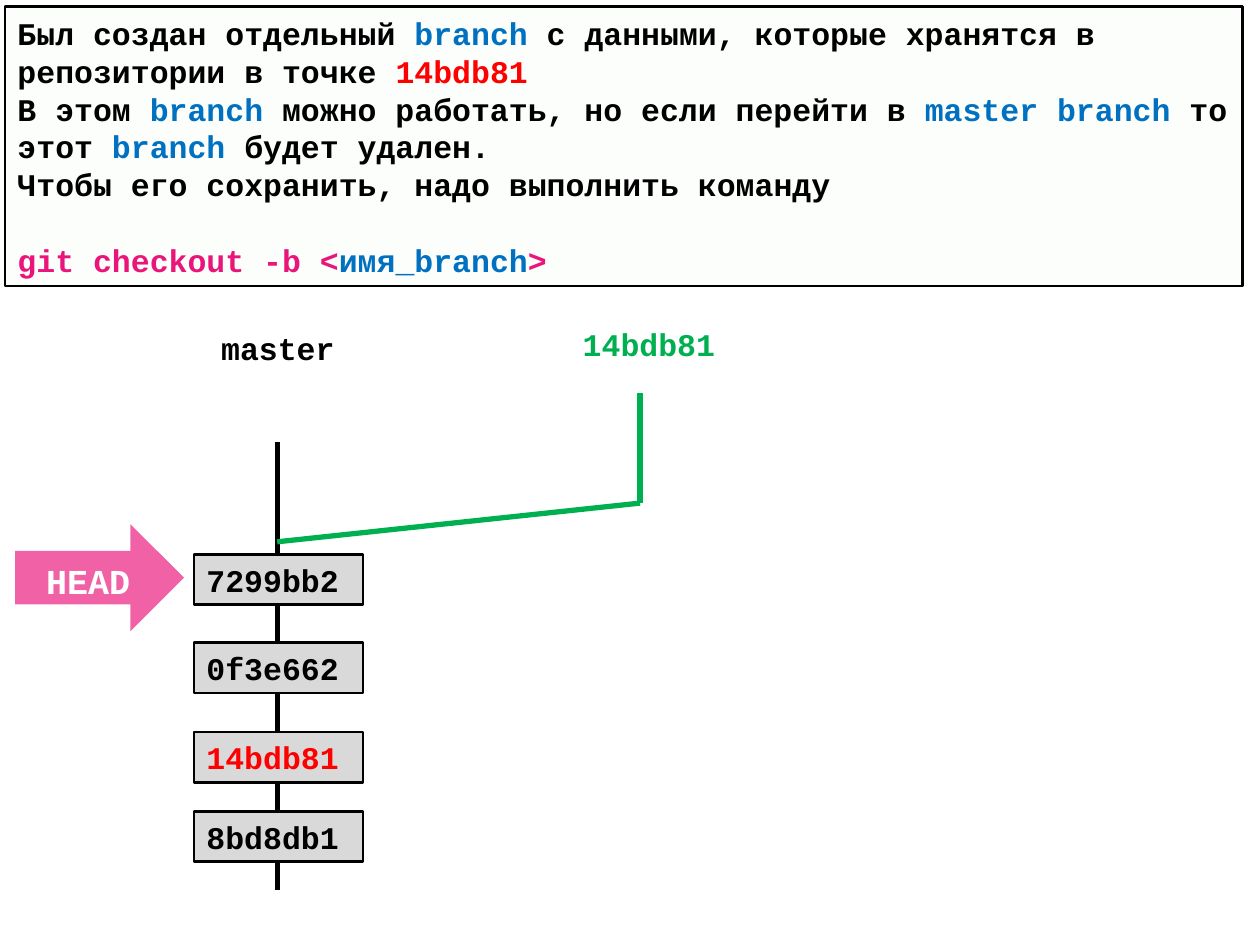
from lxml import etree
from pptx import Presentation
from pptx.dml.color import RGBColor
from pptx.enum.shapes import MSO_CONNECTOR, MSO_SHAPE
from pptx.enum.text import MSO_ANCHOR, PP_ALIGN
from pptx.oxml.ns import qn
from pptx.util import Inches, Pt

BLACK = RGBColor(0x00, 0x00, 0x00)
WHITE = RGBColor(0xFF, 0xFF, 0xFF)
GRAY = RGBColor(0xD9, 0xD9, 0xD9)
RED = RGBColor(0xFF, 0x00, 0x00)
BLUE = RGBColor(0x00, 0x70, 0xC0)
GREEN = RGBColor(0x00, 0xB0, 0x50)
PINK = RGBColor(0xEA, 0x15, 0x7A)
PALE = RGBColor(0xE5, 0xF6, 0xD8)
RECTANGLE, ARROW = MSO_SHAPE.RECTANGLE, MSO_SHAPE.RIGHT_ARROW
STRAIGHT = MSO_CONNECTOR.STRAIGHT
LEFT, CENTER = PP_ALIGN.LEFT, PP_ALIGN.CENTER
MIDDLE = MSO_ANCHOR.MIDDLE
WIDTH, HEIGHT = Inches(10), Inches(7.5)
COLUMN, ROW = WIDTH / 100, HEIGHT / 75
FONT = {"name": "Courier New", "size": Pt(18), "bold": True}

EXPLANATION = [
    [("Был создан отдельный ", BLACK), ("branch", BLUE),
     (" с данными, которые хранятся в репозитории в точке ", BLACK),
     ("14bdb81", RED)],
    [("В этом ", BLACK), ("branch ", BLUE),
     ("можно работать, но если перейти в ", BLACK),
     ("master branch ", BLUE), ("то этот ", BLACK), ("branch ", BLUE),
     ("будет удален.", BLACK)],
    [("Чтобы его сохранить, надо выполнить команду", BLACK)],
    [("git checkout -b <", PINK), ("имя_branch", BLUE), (">", PINK)],
]
COMMITS = [("7299bb2", BLACK, 44), ("0f3e662", BLACK, 51),
           ("14bdb81", RED, 58.1), ("8bd8db1", BLACK, 64.4)]


def grid(*cells):
    """Turn alternating columns and rows into slide lengths."""
    return [round(cell * (ROW if i % 2 else COLUMN))
            for i, cell in enumerate(cells)]


def write(frame, paragraphs, align=LEFT, **changes):
    """Fill a text frame with paragraphs of coloured pieces."""
    frame.vertical_anchor = MIDDLE
    for index, pieces in enumerate(paragraphs):
        paragraph = frame.paragraphs[0] if index == 0 else frame.add_paragraph()
        paragraph.alignment = align
        for words, color in pieces:
            run = paragraph.add_run()
            run.text = words
            run.font.color.rgb = color
            for key, value in {**FONT, **changes}.items():
                setattr(run.font, key, value)


def add_block(slide, preset, box, fill, outline=None, opacity=100):
    """Draw a filled preset shape in a grid box."""
    block = slide.shapes.add_shape(preset, *grid(*box))
    block.shadow.inherit = False
    block.fill.solid()
    block.fill.fore_color.rgb = fill
    if opacity < 100:
        tint = block.fill._xPr.find(qn("a:solidFill"))[0]
        etree.SubElement(tint, qn("a:alpha"), val=str(opacity * 1000))
    if outline is None:
        block.line.fill.background()
    else:
        block.line.color.rgb = outline
        block.line.width = Pt(1.5)
    block.text_frame.word_wrap = True
    return block


def add_label(slide, box, words, color, **changes):
    """Write one centred line in a grid box."""
    label = slide.shapes.add_textbox(*grid(*box))
    label.text_frame.word_wrap = False
    write(label.text_frame, [[(words, color)]], CENTER, **changes)


def add_path(slide, points, color):
    """Join successive grid points with straight lines."""
    for start, end in zip(points, points[1:]):
        segment = slide.shapes.add_connector(STRAIGHT, *grid(*start, *end))
        segment.line.color.rgb = color
        segment.line.width = Pt(3)
        etree.SubElement(segment._element.spPr, qn("a:effectLst"))


def add_explanation(slide, box):
    """Place the framed explanation with the command set apart."""
    panel = add_block(slide, RECTANGLE, box, PALE, BLACK, opacity=8)
    write(panel.text_frame, EXPLANATION)
    panel.text_frame.paragraphs[-1].space_before = Pt(21.5)


def add_master(slide, left, top, width, height):
    """Place the master line, its name and its commits."""
    middle = left + width / 2 - 0.1
    add_path(slide, [(middle, top), (middle, top + height)], BLACK)
    add_label(slide, (middle - 5.5, top - 9.5, 11.1, 4), "master", BLACK)
    for commit, color, commit_top in COMMITS:
        block = add_block(slide, RECTANGLE, (left, commit_top, width, 4),
                          GRAY, BLACK)
        write(block.text_frame, [[(commit, color)]])


def add_branch(slide, left, top, width, height):
    """Place the detached branch, rising from master to its name."""
    right = left + width
    bend = top + height * 0.74
    add_path(slide, [(right, top), (right, bend), (left, top + height)], GREEN)
    add_label(slide, (right - 5.6, top - 5.9, 12.6, 4), "14bdb81", GREEN)


def add_head(slide, left, top, width, height):
    """Place the HEAD arrow with its label."""
    add_block(slide, ARROW, (left, top, width, height), PINK, opacity=67)
    add_label(slide, (left + 1.4, top + 2.3, 8.8, 4.4), "HEAD", WHITE,
              size=Pt(20))


def main():
    """Build and save the slide."""
    deck = Presentation()
    deck.slide_width, deck.slide_height = WIDTH, HEIGHT
    slide = deck.slides.add_slide(deck.slide_layouts[6])
    add_master(slide, 15.4, 35.1, 13.4, 35.5)
    add_head(slide, 1.2, 41.6, 13.4, 8.5)
    add_branch(slide, 22, 31.2, 28.8, 11.8)
    add_explanation(slide, (0.4, 0.5, 98.2, 22.2))
    deck.save("out.pptx")


if __name__ == "__main__":
    main()
